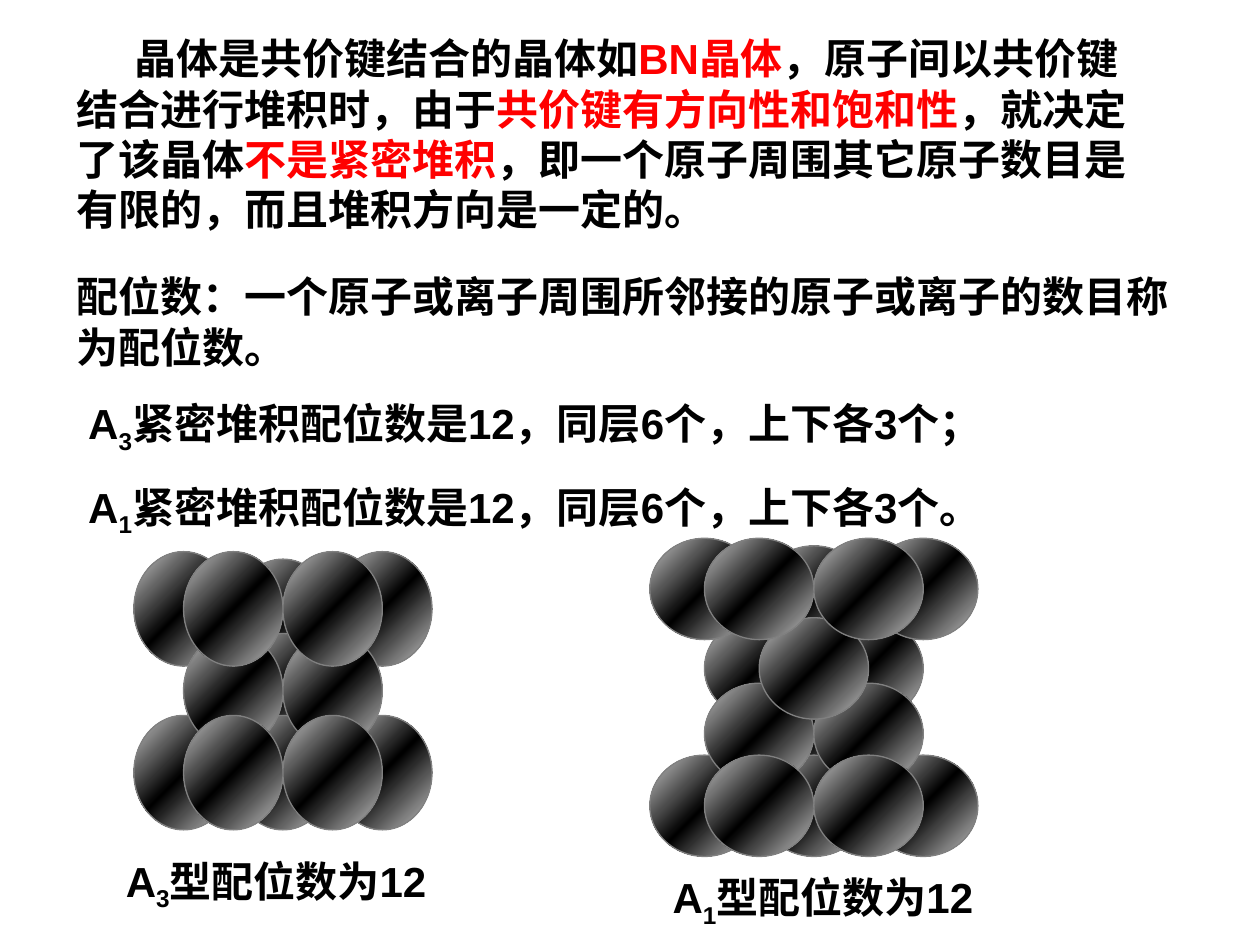
from lxml import etree
from pptx import Presentation
from pptx.dml.color import RGBColor
from pptx.enum.shapes import MSO_SHAPE
from pptx.enum.text import MSO_AUTO_SIZE
from pptx.oxml.ns import qn
from pptx.util import Pt

BLACK = RGBColor(0x00, 0x00, 0x00)
RED = RGBColor(0xFF, 0x00, 0x00)
GRAY = RGBColor(0x80, 0x80, 0x80)
SILVER = RGBColor(0xCC, 0xCC, 0xCC)

# Each ball is (row, column) from back to front; columns are half a ball apart.
A3_ROWS = {"top": 0, "top back": 4.3, "middle": 46.8, "bottom": 93.6}
A3_BALLS = [
    ("top back", 2), ("top", 0), ("top", 4), ("middle", 2),
    ("bottom", 2), ("bottom", 0), ("bottom", 4),
    ("middle", 1), ("bottom", 1), ("middle", 3), ("bottom", 3),
    ("top", 1), ("top", 3),
]
A1_ROWS = {"top": 0, "top back": 4.3, "upper": 45.4, "lower": 82.8, "bottom": 123.9}
A1_BALLS = [
    ("lower", 2), ("upper", 1), ("upper", 3),
    ("top", 4), ("top back", 2), ("top", 0),
    ("bottom", 2), ("bottom", 0), ("bottom", 4),
    ("lower", 1), ("bottom", 1), ("lower", 3), ("bottom", 3),
    ("upper", 2), ("top", 1), ("top", 3),
]


def add_run(p, text, color=BLACK, subscript=False):
    r = p.add_run()
    r.text = text
    font = r.font
    font.name = "Arial"
    font.size = Pt(24)
    font.bold = True
    font.color.rgb = color
    if subscript:
        r._r.get_or_add_rPr().set("baseline", "-25000")


def add_formula(p, index, text):
    """Write A with a subscript index, then the text."""
    add_run(p, "A")
    add_run(p, index, subscript=True)
    add_run(p, text)


def indent_first_line(p, points):
    p._p.get_or_add_pPr().set("indent", str(Pt(points)))


def add_text_frame(shapes, box):
    tf = shapes.add_textbox(*map(Pt, box)).text_frame
    tf.word_wrap = True
    tf.auto_size = MSO_AUTO_SIZE.SHAPE_TO_FIT_TEXT
    return tf


def add_bonding_text(slide, box):
    p = add_text_frame(slide.shapes, box).paragraphs[0]
    indent_first_line(p, 33)
    add_run(p, "晶体是共价键结合的晶体如")
    add_run(p, "BN晶体", color=RED)
    add_run(p, "，原子间以共价键结合进行堆积时，由于")
    add_run(p, "共价键有方向性和饱和性", color=RED)
    add_run(p, "，就决定了该晶体")
    add_run(p, "不是紧密堆积", color=RED)
    add_run(p, "，即一个原子周围其它原子数目是有限的，而且堆积方向是一定的。")


def add_coordination_text(slide, box):
    tf = add_text_frame(slide.shapes, box)
    add_run(tf.paragraphs[0], "配位数：一个原子或离子周围所邻接的原子或离子的数目称为配位数。")
    for index, end in (("3", "；"), ("1", "。")):
        p = tf.add_paragraph()
        p.space_before = Pt(15)
        indent_first_line(p, 6.67)
        add_formula(p, index, "紧密堆积配位数是12，同层6个，上下各3个" + end)


def set_ball_gradient(sp):
    """Shade diagonally from silver through black to silver."""
    fill = sp.fill
    fill.gradient()
    grad = fill._fill._gradFill
    stops = grad.find(qn("a:gsLst"))
    for gs in list(stops):
        stops.remove(gs)
    for pos, color in ((0, SILVER), (50, BLACK), (100, SILVER)):
        gs = etree.SubElement(stops, qn("a:gs"), pos=str(pos * 1000))
        etree.SubElement(gs, qn("a:srgbClr"), val=str(color))
    fill.gradient_angle = 315


def add_ball(shapes, left, top, width, height):
    sp = shapes.add_shape(MSO_SHAPE.OVAL, Pt(left), Pt(top), Pt(width), Pt(height))
    sp.shadow.inherit = False
    set_ball_gradient(sp)
    sp.line.color.rgb = GRAY
    sp.line.width = Pt(0.75)


def add_packing(slide, box, rows, balls, index, caption_box):
    """Stack the balls three widths across the box, with a caption below."""
    left, top, width, height = box
    ball_width = width / 3
    ball_height = height - max(rows.values())
    shapes = slide.shapes.add_group_shape().shapes
    for row, column in balls:
        add_ball(shapes, left + column * ball_width / 2, top + rows[row],
                 ball_width, ball_height)
    tf = add_text_frame(shapes, caption_box)
    add_formula(tf.paragraphs[0], index, "型配位数为12")


def main():
    prs = Presentation()
    prs.slide_width, prs.slide_height = Pt(720), Pt(540)
    slide = prs.slides.add_slide(prs.slide_layouts[6])
    add_coordination_text(slide, (36.7, 151.2, 652.3, 160.5))
    add_bonding_text(slide, (36.7, 15.1, 629.3, 122.4))
    add_packing(slide, (76.5, 315.2, 170.4, 159), A3_ROWS, A3_BALLS, "3",
                (64.8, 485.3, 198.7, 40.3))
    add_packing(slide, (371.3, 307.6, 187.5, 181.8), A1_ROWS, A1_BALLS, "1",
                (377.3, 494.6, 198.7, 40.3))
    prs.save("out.pptx")


if __name__ == "__main__":
    main()
